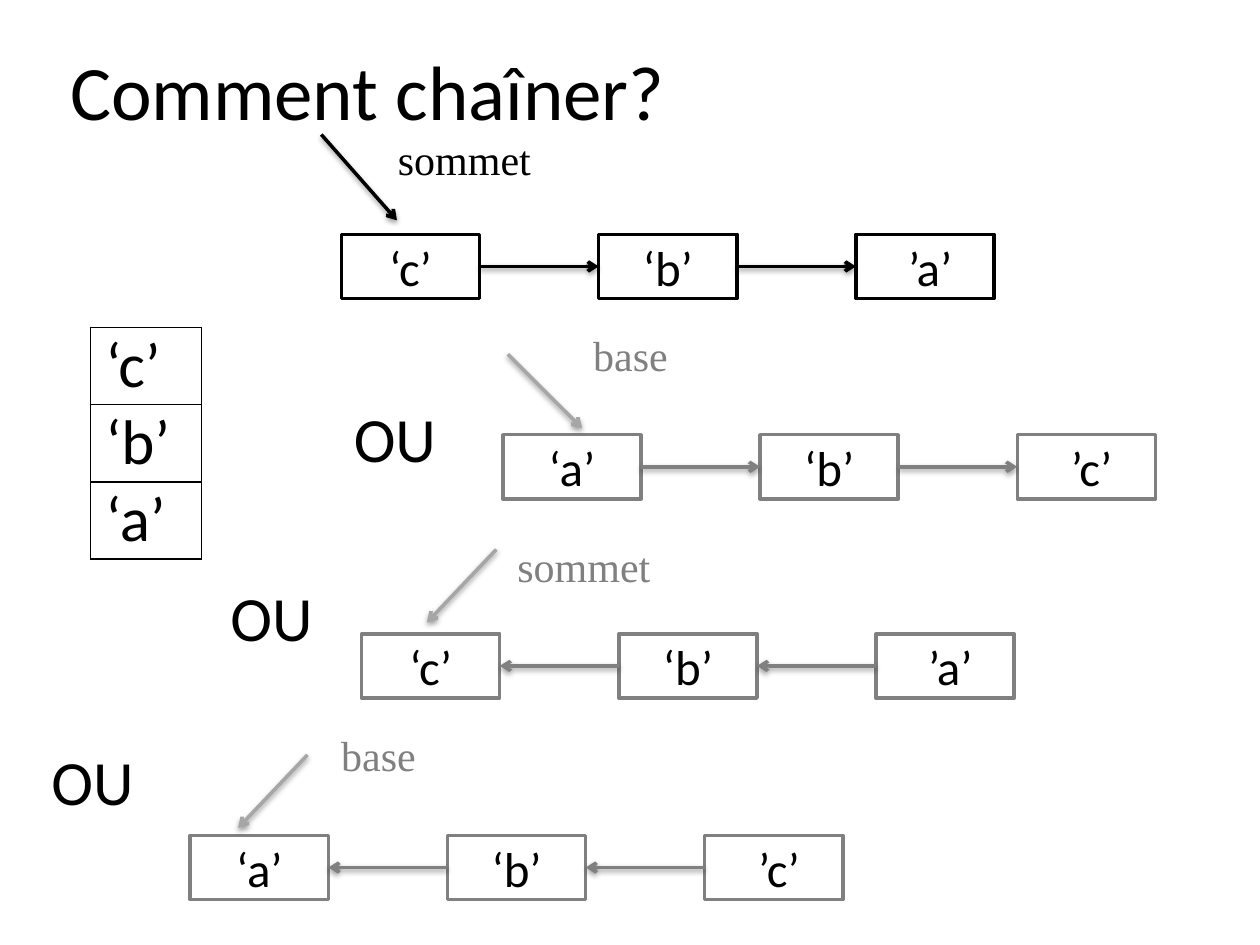
from pptx import Presentation
from pptx.dml.color import RGBColor
from pptx.enum.shapes import MSO_CONNECTOR, MSO_SHAPE
from pptx.enum.text import MSO_ANCHOR, MSO_AUTO_SIZE, PP_ALIGN
from pptx.oxml import parse_xml
from pptx.oxml.ns import nsdecls, qn
from pptx.util import Pt

RECTANGLE = MSO_SHAPE.RECTANGLE
STRAIGHT = MSO_CONNECTOR.STRAIGHT
MIDDLE = MSO_ANCHOR.MIDDLE
LEFT, CENTER = PP_ALIGN.LEFT, PP_ALIGN.CENTER
GROW = MSO_AUTO_SIZE.SHAPE_TO_FIT_TEXT

BLACK, WHITE, GREY, PALE = "000000", "FFFFFF", "808080", "A6A6A6"
SANS, SERIF = "Calibri", "Times New Roman"
NODE_WIDTH, NODE_HEIGHT, NODE_PITCH = 79, 36.7, 147
LEFT_SITE, RIGHT_SITE = 1, 3

SHADOW = (
    f'<a:effectLst {nsdecls("a")}>'
    '<a:outerShdw blurRad="40000" dist="20000" dir="5400000" rotWithShape="0">'
    '<a:srgbClr val="000000"><a:alpha val="38000"/></a:srgbClr>'
    '</a:outerShdw></a:effectLst>'
)


def color(hex_value):
    return RGBColor.from_string(hex_value)


def write(frame, text, size, font=SANS, ink=BLACK, align=LEFT):
    frame.text = text
    paragraph = frame.paragraphs[0]
    paragraph.alignment = align
    paragraph.font.size = Pt(size)
    paragraph.font.name = font
    paragraph.font.color.rgb = color(ink)


def add_panel(shapes, left, top, width, height, edge=None):
    panel = shapes.add_shape(RECTANGLE, Pt(left), Pt(top), Pt(width), Pt(height))
    panel.shadow.inherit = False
    panel.fill.solid()
    panel.fill.fore_color.rgb = color(WHITE)
    if edge:
        panel.line.color.rgb = color(edge)
        panel.line.width = Pt(2)
    else:
        panel.line.fill.background()
    return panel


def add_arrow(shapes, start, end, ink):
    arrow = shapes.add_connector(STRAIGHT, *start, *end)
    arrow.line.color.rgb = color(ink)
    arrow.line.width = Pt(2)
    properties = arrow._element.spPr
    properties.find(qn("a:ln")).append(
        parse_xml(f'<a:tailEnd {nsdecls("a")} type="arrow"/>'))
    properties.append(parse_xml(SHADOW))
    return arrow


def add_link(shapes, left_node, right_node, ink, forward):
    middle = left_node.top + left_node.height // 2
    ends = [(left_node, RIGHT_SITE, (left_node.left + left_node.width, middle)),
            (right_node, LEFT_SITE, (right_node.left, middle))]
    source, target = ends if forward else ends[::-1]
    link = add_arrow(shapes, source[2], target[2], ink)
    link.begin_connect(source[0], source[1])
    link.end_connect(target[0], target[1])


def add_chain(slide, left, top, values, name, name_box, pointer, ink, pointer_ink, forward):
    shapes = slide.shapes.add_group_shape().shapes
    nodes = []
    for index, value in enumerate(values):
        node = add_panel(shapes, left + index * NODE_PITCH, top, NODE_WIDTH, NODE_HEIGHT, ink)
        node.text_frame.vertical_anchor = MIDDLE
        write(node.text_frame, value, 28, align=CENTER)
        nodes.append(node)
    nodes[-1].text_frame.margin_left = Pt(13)
    for left_node, right_node in zip(nodes, nodes[1:]):
        add_link(shapes, left_node, right_node, ink, forward)

    start, end = [(Pt(left + x), Pt(top + y)) for x, y in pointer]
    add_arrow(shapes, start, end, pointer_ink)

    x, y, width = name_box
    label = add_panel(shapes, left + x, top + y, width, 30.2)
    label.text_frame.vertical_anchor = MSO_ANCHOR.TOP
    write(label.text_frame, name, 24, SERIF, ink)


def add_stack(slide, left, top, width, row_height, values):
    table = slide.shapes.add_table(
        len(values), 1, Pt(left), Pt(top), Pt(width), Pt(row_height * len(values))).table
    table.first_row = False
    table.horz_banding = False
    for row, value in enumerate(values):
        cell = table.cell(row, 0)
        cell.margin_left = cell.margin_right = Pt(8.6)
        cell.margin_top = cell.margin_bottom = Pt(0)
        write(cell.text_frame, value, 36)
        properties = cell._tc.get_or_add_tcPr()
        for side in ("lnL", "lnR", "lnT", "lnB"):
            properties.append(parse_xml(
                f'<a:{side} {nsdecls("a")} w="12700"><a:solidFill>'
                f'<a:srgbClr val="{BLACK}"/></a:solidFill></a:{side}>'))
        cell.fill.solid()
        cell.fill.fore_color.rgb = color(WHITE)


def add_title(slide, left, top, width, height, text):
    frame = slide.shapes.add_textbox(Pt(left), Pt(top), Pt(width), Pt(height)).text_frame
    frame.word_wrap = True
    frame.vertical_anchor = MIDDLE
    write(frame, text, 44)


def add_alternative(slide, left, top):
    frame = slide.shapes.add_textbox(Pt(left), Pt(top), Pt(62), Pt(51)).text_frame
    frame.word_wrap = False
    frame.auto_size = GROW
    write(frame, "OU", 36)


FROM_TOP = ("‘c’", "‘b’", "’a’")
FROM_BASE = ("‘a’", "‘b’", "’c’")
CHAINS = [
    (195.1, 133.9, FROM_TOP, "sommet", (25.2, -61.2, 122.4),
     ((-11.5, -57), (31.7, -8)), BLACK, BLACK, True),
    (287.3, 248.4, FROM_BASE, "base", (44.6, -63.4, 122.4),
     ((2.9, -46), (45.4, -3.6)), GREY, PALE, True),
    (206.6, 362.2, FROM_TOP, "sommet", (82, -57, 122.4),
     ((77, -48.2), (37.4, -6.5)), GREY, PALE, False),
    (108.7, 477.4, FROM_BASE, "base", (79.2, -64.1, 99.4),
     ((67, -46), (27.4, -4.3)), GREY, PALE, False),
]

presentation = Presentation()
presentation.slide_width, presentation.slide_height = Pt(720), Pt(540)
slide = presentation.slides.add_slide(presentation.slide_layouts[6])

add_stack(slide, 51.8, 187.2, 63.4, 43.9, ("‘c’", "‘b’", "‘a’"))
for chain in CHAINS:
    add_chain(slide, *chain)
add_title(slide, 33, 6.5, 648, 90, "Comment chaîner?")
for left, top in ((195.1, 224.6), (124.6, 326.9), (22.3, 420.5)):
    add_alternative(slide, left, top)

presentation.save("out.pptx")
